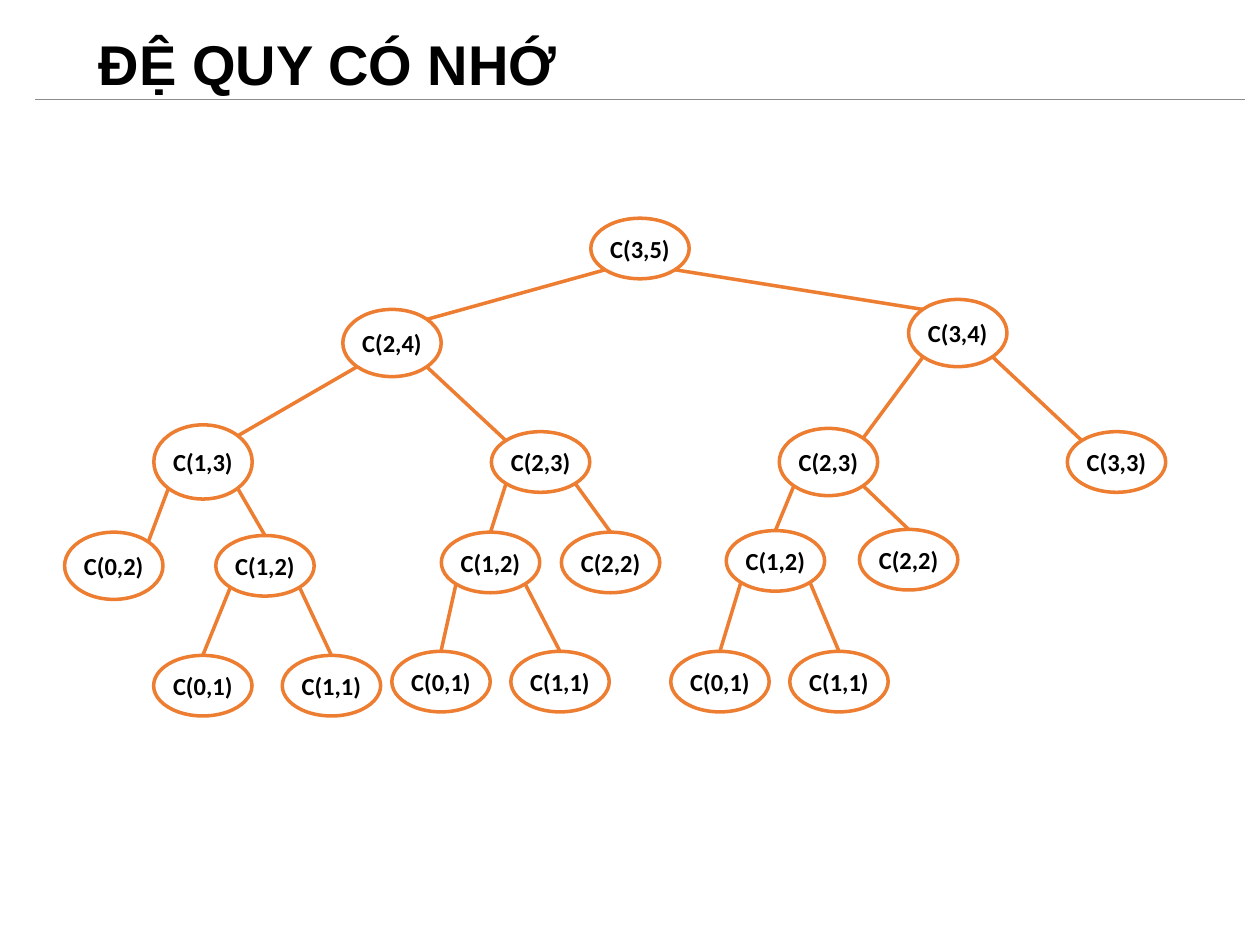
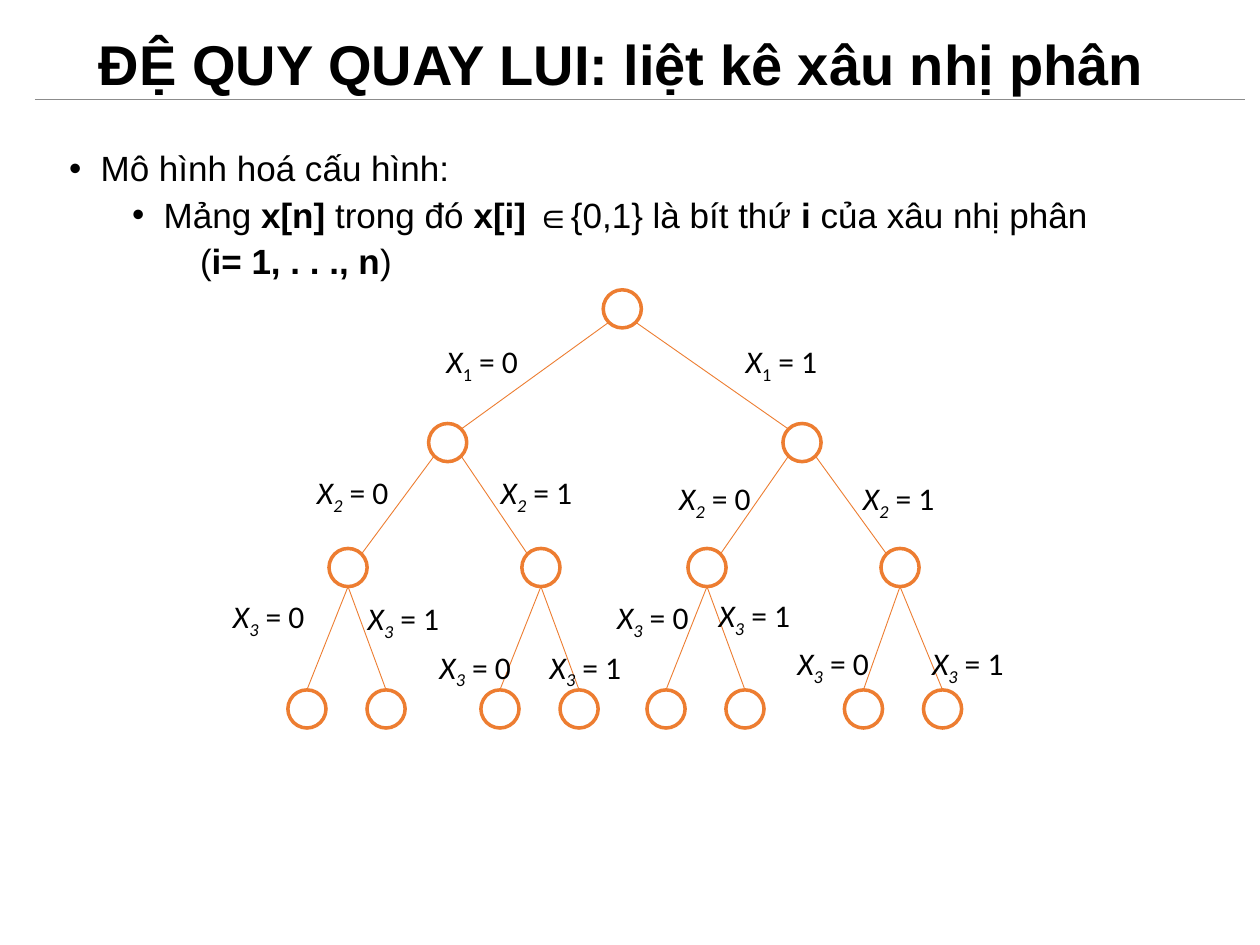
from lxml import etree
from pptx import Presentation
from pptx.dml.color import RGBColor
from pptx.enum.shapes import MSO_CONNECTOR, MSO_SHAPE
from pptx.enum.text import MSO_ANCHOR, PP_ALIGN
from pptx.oxml.ns import qn
from pptx.util import Pt

OVAL = MSO_SHAPE.OVAL
STRAIGHT = MSO_CONNECTOR.STRAIGHT
MIDDLE = MSO_ANCHOR.MIDDLE
CENTER = PP_ALIGN.CENTER

COLORS = {"text": "000000", "tree": "ED7D31", "rule": "8C8C8C", "back": "FFFFFF"}
DIAG = 0.35  # offset of an oval's diagonal points, as a share of its size


def add_run(para, text, size, font="Arial", bold=False, italic=False):
    run = para.add_run()
    run.text = text
    run.font.name = font
    run.font.size = Pt(size)
    run.font.bold = bold
    run.font.italic = italic
    run.font.color.rgb = RGBColor.from_string(COLORS["text"])
    return run


def add_line(slide, x1, y1, x2, y2, color, width):
    line = slide.shapes.add_connector(STRAIGHT, Pt(x1), Pt(y1), Pt(x2), Pt(y2))
    line.line.color.rgb = RGBColor.from_string(COLORS[color])
    line.line.width = Pt(width)
    etree.SubElement(line._element.spPr, qn("a:effectLst"))


# How an edge leaves its parent and meets its child: 1 diagonal point, 0 middle
SIDE, TOP, STEM = (1, 1), (1, 0), (0, 0)

# Node: centre x, centre y, height, label, parent index, side of parent, joint
CALLS = [
    (365.7, 142, 34.6, "C(3,5)", None, 0, None),
    (224, 196, 38.4, "C(2,4)", 0, -1, SIDE),
    (547.3, 190.3, 38.4, "C(3,4)", 0, 1, SIDE),
    (116, 264, 42.4, "C(1,3)", 1, -1, SIDE),
    (308.9, 264, 34.6, "C(2,3)", 1, 1, SIDE),
    (473.4, 264, 38.4, "C(2,3)", 2, -1, SIDE),
    (638, 264, 34.6, "C(3,3)", 2, 1, SIDE),
    (65, 323.3, 38.4, "C(0,2)", 3, -1, SIDE),
    (151.4, 323.3, 34.6, "C(1,2)", 3, 1, TOP),
    (280.3, 321.4, 34.6, "C(1,2)", 4, -1, TOP),
    (348.9, 321.4, 34.6, "C(2,2)", 4, 1, TOP),
    (443.1, 320.5, 34.6, "C(1,2)", 5, -1, TOP),
    (519.2, 319.8, 34.6, "C(2,2)", 5, 1, TOP),
    (115.9, 391.8, 34.6, "C(0,1)", 8, -1, TOP),
    (189.4, 391.8, 34.6, "C(1,1)", 8, 1, TOP),
    (252, 389.5, 34.6, "C(0,1)", 9, -1, TOP),
    (320, 389.5, 34.6, "C(1,1)", 9, 1, TOP),
    (411.4, 389.5, 34.6, "C(0,1)", 11, -1, TOP),
    (479.4, 389.5, 34.6, "C(1,1)", 11, 1, TOP),
]

# The binary tree is full, so each level lists its centres from left to right
LEVELS = [
    (176.5, [355.6]),
    (252.9, [255.8, 458.3]),
    (324.3, [198.9, 309.1, 404, 514.3]),
    (405.1, [175.4, 220.6, 285.7, 330.9, 380.6, 425.7, 493.4, 538.6]),
]
BITS = []
for level, (y, row) in enumerate(LEVELS):
    for x in row:
        n = len(BITS)
        up = (n - 1) // 2 if n else None
        BITS.append((x, y, 21.8, "", up, 1 if n % 2 == 0 else -1,
                     STEM if level == 3 else SIDE))

# Title, nodes, node width, edge width
PAGES = [
    ("ĐỆ QUY CÓ NHỚ", CALLS, 56.2, 2),
    ("ĐỆ QUY QUAY LUI: liệt kê xâu nhị phân", BITS, 21.8, 0.5),
]

deck = Presentation()
deck.slide_width, deck.slide_height = Pt(720), Pt(540)

for title, nodes, wide, thick in PAGES:
    slide = deck.slides.add_slide(deck.slide_layouts[6])
    slide.background.fill.solid()
    slide.background.fill.fore_color.rgb = RGBColor.from_string(COLORS["back"])

    box = slide.shapes.add_textbox(Pt(49.5), Pt(9.4), Pt(621), Pt(58.3))
    box.text_frame.word_wrap = True
    box.text_frame.vertical_anchor = MIDDLE
    para = box.text_frame.paragraphs[0]
    para.line_spacing = 0.9
    add_run(para, title, 32, bold=True)
    add_line(slide, 20, 56.9, 711.4, 56.9, "rule", 0.5)

    for x, y, high, label, up, side, joint in nodes:
        oval = slide.shapes.add_shape(
            OVAL, Pt(x - wide / 2), Pt(y - high / 2), Pt(wide), Pt(high))
        oval.shadow.inherit = False
        oval.fill.background()
        oval.line.color.rgb = RGBColor.from_string(COLORS["tree"])
        oval.line.width = Pt(2)
        if label:
            frame = oval.text_frame
            frame.margin_left = frame.margin_right = 0
            frame.margin_top = frame.margin_bottom = 0
            frame.vertical_anchor = MIDDLE
            frame.word_wrap = True
            frame.paragraphs[0].alignment = CENTER
            add_run(frame.paragraphs[0], label, 14, "Calibri", bold=True)
        if up is not None:
            px, py, tall = nodes[up][:3]
            out, into = joint
            add_line(slide,
                     px + side * out * DIAG * wide,
                     py + tall * (DIAG if out else 0.5),
                     x - side * into * DIAG * wide,
                     y - high * (DIAG if into else 0.5),
                     "tree", thick)

# Bullets above the binary tree: left margin, first indent, space before, runs
POINTS = [
    (18, -18, 0, [("Mô hình hoá cấu hình:", False)]),
    (54, -18, 5, [("Mảng ", False), ("x[n] ", True), ("trong đó ", False),
                  ("x[i] ", True), ("∈{0,1} là bít thứ ", False),
                  ("i ", True), ("của xâu nhị phân", False)]),
    (74.8, 0, 5, [("(", False), ("i= 1, . . ., n", True), (")", False)]),
]
body = slide.shapes.add_textbox(Pt(32.4), Pt(83), Pt(655), Pt(107))
body.text_frame.word_wrap = True
for n, (left, first, space, runs) in enumerate(POINTS):
    para = body.text_frame.add_paragraph() if n else body.text_frame.paragraphs[0]
    props = para._p.get_or_add_pPr()
    props.set("marL", str(Pt(left)))
    props.set("indent", str(Pt(first)))
    if first:
        etree.SubElement(props, qn("a:buFont"), typeface="Arial")
        etree.SubElement(props, qn("a:buChar"), char="•")
    else:
        etree.SubElement(props, qn("a:buNone"))
    para.line_spacing = 0.9
    para.space_before = Pt(space)
    for text, bold in runs:
        add_run(para, text, 20, bold=bold)

# Edge labels: left, top, bit number, bit value
LABELS = [
    (248, 192, 1, 0), (419, 192, 1, 1),
    (174, 267, 2, 0), (279, 267, 2, 1), (381, 270, 2, 0), (486, 270, 2, 1),
    (126, 337.5, 3, 0), (203, 339, 3, 1), (244, 366.5, 3, 0), (307, 366.5, 3, 1),
    (345.5, 338, 3, 0), (403.5, 337, 3, 1), (448.5, 364.5, 3, 0), (525.5, 364.5, 3, 1),
]
for x, y, bit, value in LABELS:
    tag = slide.shapes.add_textbox(Pt(x), Pt(y), Pt(74), Pt(29))
    tag.text_frame.word_wrap = True
    para = tag.text_frame.paragraphs[0]
    add_run(para, "X", 18, "Calibri", italic=True)
    sub = add_run(para, str(bit), 18, "Calibri", italic=bit > 1)
    sub._r.get_or_add_rPr().set("baseline", "-25000")
    add_run(para, f" = {value}", 18, "Calibri")

deck.save("out.pptx")
